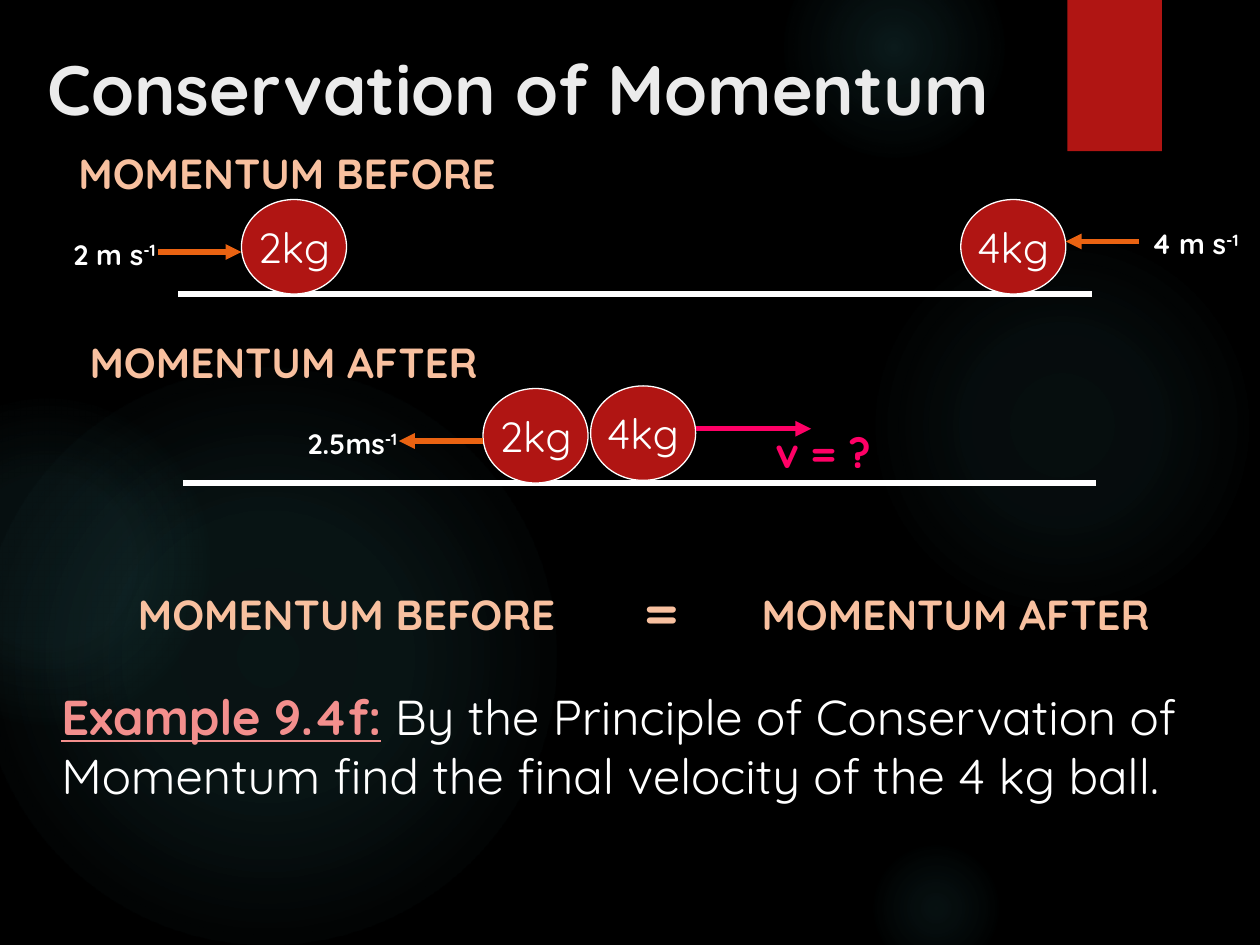
from lxml import etree
from pptx import Presentation
from pptx.dml.color import RGBColor
from pptx.enum.shapes import MSO_CONNECTOR, MSO_SHAPE
from pptx.enum.text import MSO_ANCHOR, PP_ALIGN
from pptx.oxml import parse_xml
from pptx.oxml.ns import nsdecls, qn
from pptx.util import Pt

OVAL, RECTANGLE = MSO_SHAPE.OVAL, MSO_SHAPE.RECTANGLE
STRAIGHT = MSO_CONNECTOR.STRAIGHT
LEFT, CENTER, RIGHT = PP_ALIGN.LEFT, PP_ALIGN.CENTER, PP_ALIGN.RIGHT
TOP, MIDDLE = MSO_ANCHOR.TOP, MSO_ANCHOR.MIDDLE
FONT = "Quicksand"
WHITE, RED, ORANGE, PINK, PEACH = "FFFFFF", "B01513", "EA6312", "FF0066", "F8C09F"
GLOW = "50B9C1"
BALL_WIDTH, BALL_HEIGHT = 60, 54
GROUND_LENGTH = 522


def color(hex_string):
    """Return the RGB color for a hex string."""
    return RGBColor.from_string(hex_string)


def write_text(shape, text, size=24, fill=WHITE, bold=False, align=LEFT, anchor=TOP,
               wrap=True, superscript="", lead="", lead_fill=WHITE):
    """Write one paragraph with an optional underlined lead and a superscript."""
    frame = shape.text_frame
    frame.word_wrap = wrap
    frame.vertical_anchor = anchor
    paragraph = frame.paragraphs[0]
    paragraph.alignment = align
    parts = ((lead, lead_fill, True), (text, fill, bold), (superscript, fill, bold))
    for content, run_fill, run_bold in parts:
        if not content:
            continue
        run = paragraph.add_run()
        run.text = content
        run.font.name = FONT
        run.font.size = Pt(size)
        run.font.bold = run_bold
        run.font.color.rgb = color(run_fill)
        if content == lead:
            run.font.underline = True
        if content == superscript:
            run.font._element.set("baseline", "30000")


def add_text(shapes, left, top, width, height, text, **text_format):
    """Add a text box in the given box."""
    box = shapes.add_textbox(Pt(left), Pt(top), Pt(width), Pt(height))
    write_text(box, text, **text_format)


def add_shape(shapes, kind, left, top, width, height, fill, line=None):
    """Add a flat preset shape and return it."""
    shape = shapes.add_shape(kind, Pt(left), Pt(top), Pt(width), Pt(height))
    shape.shadow.inherit = False
    shape.fill.solid()
    shape.fill.fore_color.rgb = color(fill)
    if line:
        shape.line.color.rgb = color(line)
        shape.line.width = Pt(0.75)
    else:
        shape.line.fill.background()
    return shape


def add_line(shapes, start_x, start_y, end_x, end_y, fill, arrow=False):
    """Add a straight line, with an arrowhead at its end if asked."""
    line = shapes.add_connector(STRAIGHT, Pt(start_x), Pt(start_y), Pt(end_x), Pt(end_y))
    line.line.color.rgb = color(fill)
    line.line.width = Pt(3)
    if arrow:
        etree.SubElement(line.line._get_or_add_ln(), qn("a:tailEnd"), type="triangle")
    etree.SubElement(line._element.spPr, qn("a:effectLst"))


def add_glow(slide, left, top, diameter, stops):
    """Add a soft round glow that fades from its center."""
    shape = add_shape(slide.shapes, OVAL, left, top, diameter, diameter, GLOW)
    stop_xml = "".join(
        f'<a:gs pos="{position * 1000}"><a:srgbClr val="{GLOW}">'
        f'<a:alpha val="{alpha * 1000}"/></a:srgbClr></a:gs>'
        for position, alpha in stops)
    gradient = parse_xml(
        f'<a:gradFill {nsdecls("a")}><a:gsLst>{stop_xml}</a:gsLst><a:path path="circle">'
        '<a:fillToRect l="50000" t="50000" r="50000" b="50000"/></a:path></a:gradFill>')
    properties = shape._element.spPr
    properties.replace(properties.find(qn("a:solidFill")), gradient)


def add_backdrop(slide):
    """Paint the black background, its glows and the red tab."""
    slide.background.fill.solid()
    slide.background.fill.fore_color.rgb = color("000000")
    glows = (
        (496, 132, 222, ((0, 7), (36, 6), (69, 0))),
        (448, -36, 126, ((0, 14), (36, 7), (73, 0))),
        (496, 480, 78, ((0, 9), (36, 5), (66, 0))),
        (-12, 210, 330, ((0, 11), (36, 10), (75, 0))),
        (-66, 228, 186, ((0, 8), (36, 8), (72, 0))),
    )
    for glow in glows:
        add_glow(slide, *glow)
    add_shape(slide.shapes, RECTANGLE, 610, 0, 54, 86.4, RED)


def add_ball(slide, left, top, mass, arrow, label, arrow_fill=ORANGE, **label_format):
    """Add a ball grouped with its velocity arrow and label, placed from its corner."""
    shapes = slide.shapes.add_group_shape().shapes
    ball = add_shape(shapes, OVAL, left, top, BALL_WIDTH, BALL_HEIGHT, RED, line=WHITE)
    write_text(ball, mass, align=CENTER, anchor=MIDDLE, wrap=False)
    start, end, arrow_top = arrow
    add_line(shapes, left + start, top + arrow_top, left + end, top + arrow_top,
             arrow_fill, arrow=True)
    label_left, label_top, width, height, text = label
    add_text(shapes, left + label_left, top + label_top, width, height, text,
             bold=True, **label_format)


def add_scene(slide, left, ground, caption, caption_left, balls):
    """Add the ground, the balls on it and the caption above."""
    add_line(slide.shapes, left, ground, left + GROUND_LENGTH, ground, WHITE)
    for offset, rise, mass, arrow, label, label_format in balls:
        add_ball(slide, left + offset, ground - rise, mass, arrow, label, **label_format)
    add_text(slide.shapes, caption_left, ground - 87.5, 288, 36, caption,
             fill=PEACH, bold=True, align=CENTER)


def add_equation(slide, left, top):
    """Add the word equation for the conservation law."""
    terms = ((0, 0, 288, 36, "MOMENTUM BEFORE", 24), (282, -6.5, 84, 45, "=", 32),
             (348, 0, 288, 36, "MOMENTUM AFTER", 24))
    for offset, drop, width, height, text, size in terms:
        add_text(slide.shapes, left + offset, top + drop, width, height, text,
                 size=size, fill=PEACH, bold=True, align=CENTER)


def main():
    """Build and save the slide."""
    presentation = Presentation()
    presentation.slide_width, presentation.slide_height = Pt(720), Pt(540)
    slide = presentation.slides.add_slide(presentation.slide_layouts[6])
    speed = {"size": 16, "superscript": "-1"}
    left_speed = {**speed, "align": RIGHT}
    add_backdrop(slide)
    add_text(slide.shapes, 20, 22.3, 590, 66, "Conservation of Momentum",
             size=40, fill="EBEBEB", bold=True)
    add_scene(slide, 102, 168, "MOMENTUM BEFORE", 20, (
        (36, 54, "2kg", (-48, 0, 30), (-114, 18, 72, 26.6, "2 m s"), left_speed),
        (447, 54, "4kg", (102, 60, 24), (102, 12, 66, 26.6, "4 m s"), speed),
    ))
    add_scene(slide, 104.5, 276, "MOMENTUM AFTER", 18, (
        (171.5, 54, "2kg", (0, -48, 30), (-114, 18, 72, 26.6, "2.5ms"), left_speed),
        (233, 55.5, "4kg", (60, 126, 24.5), (98.5, 19.5, 90, 36, "v = ?"),
         {"fill": PINK, "arrow_fill": PINK}),
    ))
    add_equation(slide, 54, 332.5)
    add_text(slide.shapes, 28, 389, 672, 109,
             " By the Principle of Conservation of Momentum find the final velocity "
             "of the 4 kg ball.", size=28, lead="Example 9.4f:", lead_fill="F38F8D")
    presentation.save("out.pptx")


if __name__ == "__main__":
    main()
